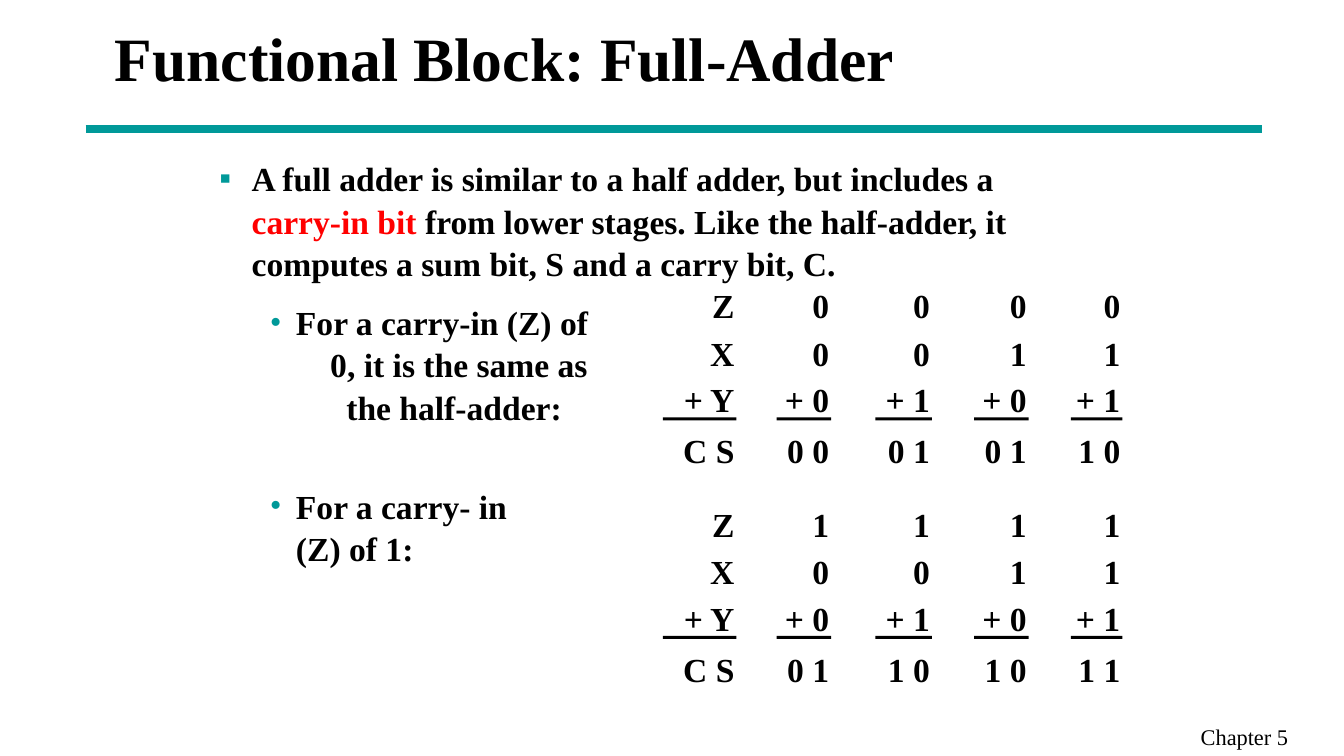
import pptx
import pptx.dml.color
import pptx.enum.shapes
import pptx.enum.text
import pptx.oxml
import pptx.oxml.ns
import pptx.util
from lxml import etree

Inches = pptx.util.Inches
Pt = pptx.util.Pt
ALIGN = pptx.enum.text.PP_ALIGN
COLORS = {name: pptx.dml.color.RGBColor.from_string(value) for name, value in {
    "text": "000000", "accent": "009999", "highlight": "FF0000"}.items()}


def style(paragraph, size=24, bold=True):
    paragraph.font.name = "Times New Roman"
    paragraph.font.size = Pt(size)
    paragraph.font.bold = bold
    paragraph.font.color.rgb = COLORS["text"]


def add_property(paragraph, tag, **attributes):
    """Append a drawing element, such as a bullet, to the paragraph properties."""
    properties = paragraph._p.get_or_add_pPr()
    element = etree.SubElement(properties, pptx.oxml.ns.qn(tag))
    for key, value in attributes.items():
        element.set(key, str(value))
    return element


presentation = pptx.Presentation()
presentation.slide_width = Inches(13.34)
presentation.slide_height = Inches(7.5)
slide = presentation.slides.add_slide(presentation.slide_layouts[5])
shapes = slide.shapes

# Title and the bar under it
title = shapes.title
title.left, title.top = Inches(1.04), Inches(0)
title.width, title.height = Inches(11.33), Inches(1.12)
title.text_frame.text = "Functional Block: Full-Adder"
title.text_frame.vertical_anchor = pptx.enum.text.MSO_ANCHOR.MIDDLE
title.text_frame.paragraphs[0].alignment = ALIGN.LEFT
style(title.text_frame.paragraphs[0], 44)

bar = shapes.add_connector(pptx.enum.shapes.MSO_CONNECTOR.STRAIGHT,
                           Inches(0.85), Inches(1.28), Inches(12.53), Inches(1.28))
bar.line.color.rgb = COLORS["accent"]
bar.line.width = Pt(6)
etree.SubElement(bar._element.spPr, pptx.oxml.ns.qn("a:effectLst"))

# Explanation: runs, left indent, hanging indent, space before, bullet
body = shapes.add_textbox(Inches(2.08), Inches(1.5), Inches(8.5), Inches(5.17)).text_frame
body.word_wrap = True
explanation = [
    (["A full adder is similar to a half adder, but includes a ", "carry-in bit ",
      "from lower stages. Like the half-adder, it computes a sum bit, "
      "S and a carry bit, C."], 0.32, -0.32, 0, "▪"),
    (["For a carry-in (Z) of"], 0.76, -0.26, 12, "•"),
    (["0, it is the same as"], 1.1, 0, 0, None),
    (["the half-adder:"], 1.26, 0, 0, None),
    (["For a carry- in\v(Z) of 1:"], 0.76, -0.26, 40.5, "•"),
]
for index, (runs, left, hanging, space, bullet) in enumerate(explanation):
    paragraph = body.paragraphs[0] if index == 0 else body.add_paragraph()
    paragraph.text = "" if len(runs) > 1 else runs[0]
    if len(runs) > 1:
        for text in runs:
            paragraph.add_run().text = text
        paragraph.runs[1].font.color.rgb = COLORS["highlight"]
    paragraph.line_spacing = 1.05
    paragraph.space_before = Pt(space)
    properties = paragraph._p.get_or_add_pPr()
    properties.set("marL", str(Inches(left)))
    properties.set("indent", str(Inches(hanging)))
    if bullet:
        bullet_color = add_property(paragraph, "a:buClr")
        etree.SubElement(bullet_color, pptx.oxml.ns.qn("a:srgbClr")).set(
            "val", str(COLORS["accent"]))
        add_property(paragraph, "a:buFont", typeface="Times New Roman")
        add_property(paragraph, "a:buChar", char=bullet)
    style(paragraph)

# Additions: rows Z, X, Y and the result C S, for carry-in 0 and 1
rule_spans = [(6.58, 7.31), (7.71, 8.25), (8.69, 9.25), (9.67, 10.21), (10.63, 11.14)]
row_tops = [0, 0.47, 0.93, 1.44]
additions = [
    (2.83, ["Z 0 0 0 0", "X 0 0 1 1"], ["C S", "0 0", "0 1", "0 1", "1 0"]),
    (5.0, ["Z 1 1 1 1", "X 0 0 1 1"], ["C S", "0 1", "1 0", "1 0", "1 1"]),
]
for top, inputs, results in additions:
    rows = [row.split() for row in inputs]
    rows += [["+ Y", "+ 0", "+ 1", "+ 0", "+ 1"], results]
    for row_top, row in zip(row_tops, rows):
        for text, (_, right) in zip(row, rule_spans):
            width = 0.24 if len(text) == 1 else 0.51
            cell = shapes.add_textbox(Inches(right - 0.02 - width), Inches(top + row_top),
                                      Inches(width), Inches(0.4)).text_frame
            cell.margin_left = cell.margin_right = cell.margin_top = cell.margin_bottom = 0
            cell.word_wrap = False
            cell.text = text
            cell.paragraphs[0].alignment = ALIGN.RIGHT
            style(cell.paragraphs[0])
    for left, right in rule_spans:
        rule = shapes.add_shape(pptx.enum.shapes.MSO_SHAPE.RECTANGLE, Inches(left),
                                Inches(top + 1.31), Inches(right - left), Inches(0.03))
        rule.shadow.inherit = False
        rule.fill.solid()
        rule.fill.fore_color.rgb = COLORS["text"]
        rule.line.fill.background()

# Footer: chapter and page number
footer = shapes.add_textbox(Inches(11.82), Inches(7.13), Inches(1.5), Inches(0.37)).text_frame
footer.word_wrap = True
footer.text = "Chapter 5\t10"
tabs = add_property(footer.paragraphs[0], "a:tabLst")
tab = etree.SubElement(tabs, pptx.oxml.ns.qn("a:tab"))
tab.set("pos", str(Inches(1.09)))
tab.set("algn", "l")
style(footer.paragraphs[0], 16, False)

presentation.save("out.pptx")
